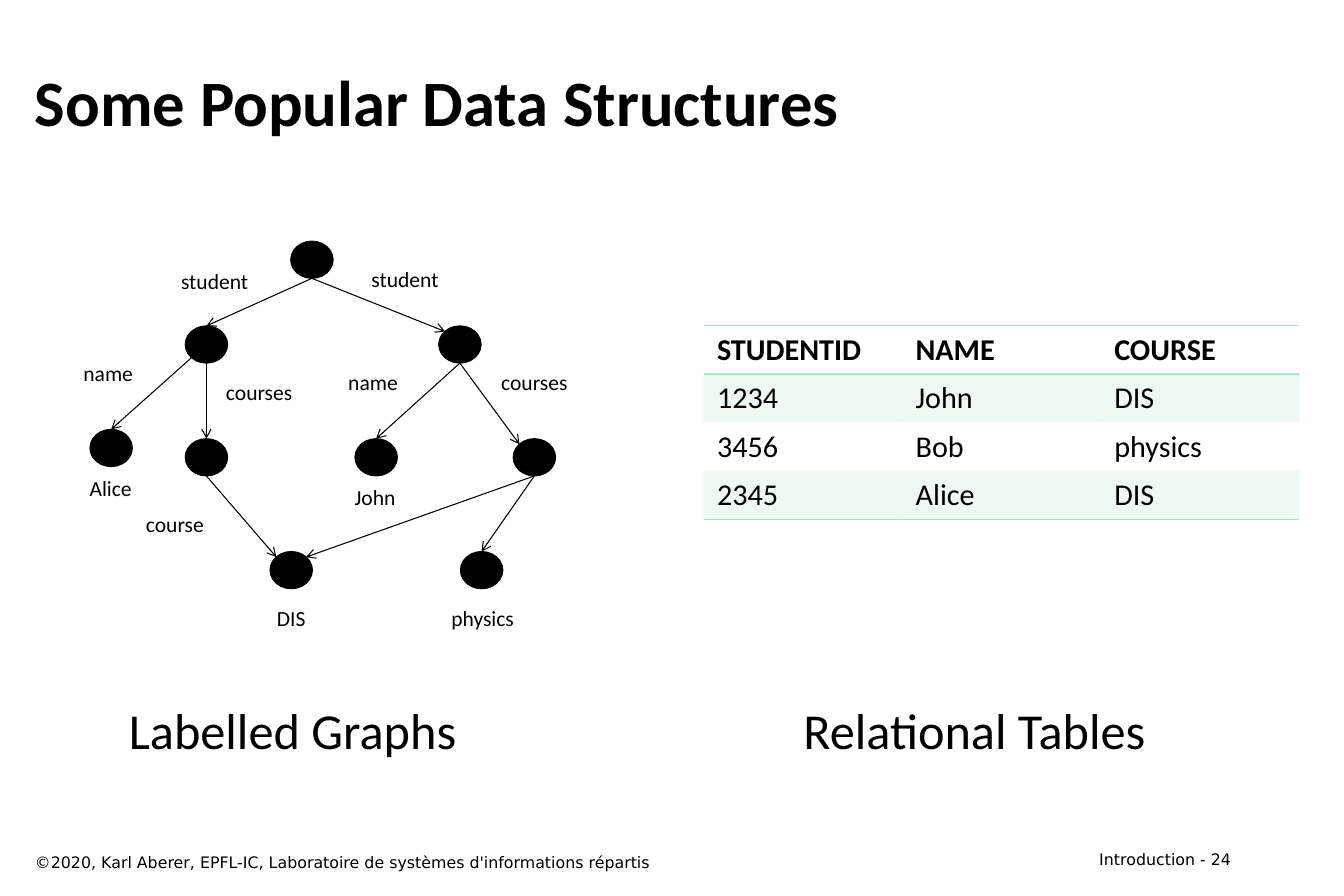
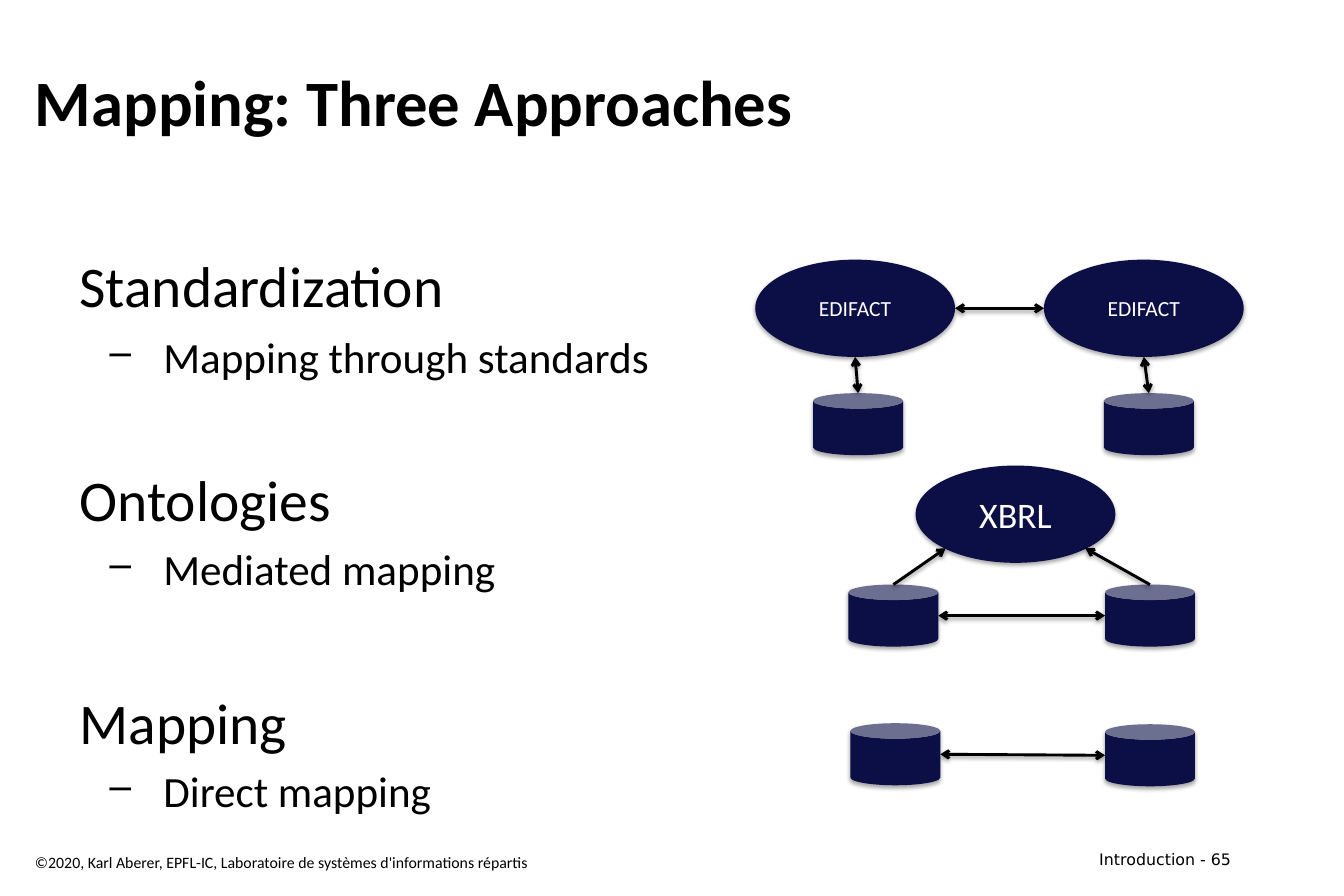
from pptx import Presentation
from pptx.dml.color import RGBColor
from pptx.enum.shapes import MSO_CONNECTOR, MSO_SHAPE
from pptx.enum.text import MSO_ANCHOR, PP_ALIGN
from pptx.oxml.ns import qn
from pptx.util import Pt
from lxml.etree import SubElement

BLACK = "000000"
WHITE = "FFFFFF"
NAVY = "0C0F46"
MINT = "AAE2CA"
BODY_FONT = "Calibri"
FOOTER_FONT = "DejaVu Sans"
COPYRIGHT = "©2020, Karl Aberer, EPFL-IC, Laboratoire de systèmes d'informations répartis"
NO_TABLE_STYLE = "{2D5ABB26-0587-4C30-8999-92F81FD0307C}"

TOP, BOTTOM, LEFT, RIGHT = (0.5, 0), (0.5, 1), (0, 0.5), (1, 0.5)
TOP_LEFT, TOP_RIGHT = (0.15, 0.15), (0.85, 0.15)
BOTTOM_LEFT, BOTTOM_RIGHT = (0.15, 0.85), (0.85, 0.85)


def color(value):
    return RGBColor.from_string(value)


def write(para, text, size=15, ink=BLACK, font=BODY_FONT, bold=False, align=PP_ALIGN.LEFT):
    para.alignment = align
    span = para.add_run()
    span.text = text
    span.font.size = Pt(size)
    span.font.name = font
    span.font.bold = bold
    span.font.color.rgb = color(ink)


def set_frame(frame, wrap=True, anchor=MSO_ANCHOR.TOP):
    frame.word_wrap = wrap
    frame.vertical_anchor = anchor
    frame.margin_left = frame.margin_right = Pt(8.6)
    frame.margin_top = frame.margin_bottom = Pt(4.3)


def add_box(page, left, top, width, height, wrap=True, anchor=MSO_ANCHOR.TOP):
    box = page.shapes.add_textbox(Pt(left), Pt(top), Pt(width), Pt(height))
    set_frame(box.text_frame, wrap, anchor)
    return box.text_frame


def add_label(page, text, left, top, width, height=27.4, size=15):
    frame = add_box(page, left, top, width, height, wrap=False)
    write(frame.paragraphs[0], text, size=size, align=PP_ALIGN.CENTER)


def add_page(deck, title, number, copyright_font):
    page = deck.slides.add_slide(deck.slide_layouts[6])
    counter = add_box(page, 670.3, 586.8, 195.1, 20.9)
    write(counter.paragraphs[0], f"Introduction - {number}", size=11,
          font=FOOTER_FONT, align=PP_ALIGN.RIGHT)
    heading = add_box(page, 15.8, 28.1, 849.6, 83.5, anchor=MSO_ANCHOR.MIDDLE)
    write(heading.paragraphs[0], title, size=45, bold=True)
    notice = add_box(page, 15.8, 589, 600.5, 20.9)
    write(notice.paragraphs[0], COPYRIGHT, size=11, font=copyright_font)
    return page


def add_shadow(effects, distance, opacity):
    shadow = SubElement(effects, qn("a:outerShdw"), blurRad=str(Pt(3.1)),
                        dist=str(Pt(distance)), dir="5400000", rotWithShape="0")
    shade = SubElement(shadow, qn("a:srgbClr"), val=BLACK)
    SubElement(shade, qn("a:alpha"), val=str(opacity * 1000))


def add_figure(page, preset, left, top, width, height, fill):
    figure = page.shapes.add_shape(preset, Pt(left), Pt(top), Pt(width), Pt(height))
    figure.shadow.inherit = False
    figure.fill.solid()
    figure.fill.fore_color.rgb = color(fill)
    return figure


def add_node(page, left, top):
    node = add_figure(page, MSO_SHAPE.OVAL, left, top, 29.5, 25.9, BLACK)
    node.line.color.rgb = color(BLACK)
    node.line.width = Pt(0.75)
    return node


def add_raised(page, preset, left, top, width, height):
    figure = add_figure(page, preset, left, top, width, height, NAVY)
    figure.line.fill.background()
    add_shadow(figure._element.spPr.find(qn("a:effectLst")), 1.8, 35)
    return figure


def add_standard(page, text, left, top, size):
    oval = add_raised(page, MSO_SHAPE.OVAL, left, top, 139, 67.7)
    set_frame(oval.text_frame, anchor=MSO_ANCHOR.MIDDLE)
    write(oval.text_frame.paragraphs[0], text, size=size, ink=WHITE, align=PP_ALIGN.CENTER)
    return oval


def add_database(page, left, top):
    return add_raised(page, MSO_SHAPE.CAN, left, top, 62.6, 43.2)


def point_on(shape, place):
    across, down = place
    return int(shape.left + across * shape.width), int(shape.top + down * shape.height)


def add_arrow(page, source, start, target, end, width=0.75, both=False, raised=False):
    arrow = page.shapes.add_connector(MSO_CONNECTOR.STRAIGHT,
                                      *point_on(source, start), *point_on(target, end))
    arrow.line.color.rgb = color(BLACK)
    arrow.line.width = Pt(width)
    outline = arrow.line._get_or_add_ln()
    for tag in ("a:headEnd", "a:tailEnd") if both else ("a:tailEnd",):
        SubElement(outline, qn(tag), type="arrow")
    effects = SubElement(arrow._element.spPr, qn("a:effectLst"))
    if raised:
        add_shadow(effects, 1.6, 38)


def add_border(cell, side):
    border = SubElement(cell._tc.get_or_add_tcPr(), qn(f"a:{side}"), w=str(Pt(1)))
    paint = SubElement(border, qn("a:solidFill"))
    SubElement(paint, qn("a:srgbClr"), val=MINT)


def add_cell(cell, text, row, last_row):
    cell.margin_left = cell.margin_right = Pt(9.4)
    cell.margin_top = cell.margin_bottom = Pt(4.3)
    write(cell.text_frame.paragraphs[0], text, size=21, bold=row == 0)
    if row == 0:
        add_border(cell, "lnT")
    if row in (0, last_row):
        add_border(cell, "lnB")
    if row % 2:
        cell.fill.solid()
        cell.fill.fore_color.rgb = color(MINT)
        shade = cell._tc.tcPr.find(qn("a:solidFill")).find(qn("a:srgbClr"))
        SubElement(shade, qn("a:alpha"), val="20000")
    else:
        cell.fill.background()


def add_grid(page, rows, left, top, column_width, row_height):
    holder = page.shapes.add_table(len(rows), len(rows[0]), Pt(left), Pt(top),
                                   Pt(column_width * len(rows[0])), Pt(row_height * len(rows)))
    table = holder.table
    table.first_row = table.horz_banding = False
    table._tbl.tblPr.find(qn("a:tableStyleId")).text = NO_TABLE_STYLE
    for column in table.columns:
        column.width = Pt(column_width)
    for index, texts in enumerate(rows):
        table.rows[index].height = Pt(row_height)
        for cell, text in zip(table.rows[index].cells, texts):
            add_cell(cell, text, index, len(rows) - 1)


def add_dash(para):
    properties = para._p.get_or_add_pPr()
    properties.set("marL", str(Pt(58.3)))
    properties.set("indent", str(Pt(-37.4)))
    SubElement(properties, qn("a:buSzPct"), val="90000")
    SubElement(properties, qn("a:buChar"), char="–")


def add_approaches(page, approaches):
    frame = add_box(page, 46.8, 169.9, 841.7, 411.8)
    for index, (name, gap, detail, detail_gap) in enumerate(approaches):
        heading = frame.add_paragraph() if index else frame.paragraphs[0]
        heading.space_before = Pt(gap)
        write(heading, name, size=40)
        item = frame.add_paragraph()
        item.level = 1
        add_dash(item)
        item.space_before = Pt(detail_gap)
        write(item, detail, size=30)


def build_structures(deck):
    page = add_page(deck, "Some Popular Data Structures", 24, FOOTER_FONT)
    second, third, fourth = (226.8 + 78.5 * step for step in range(3))
    root = add_node(page, 202.3, 167.8)
    left_student = add_node(page, 128.9, second)
    right_student = add_node(page, 305.3, second)
    alice = add_node(page, 62.6, 298.8)
    left_courses = add_node(page, 128.9, third)
    john = add_node(page, 247, third)
    right_courses = add_node(page, 357.1, third)
    dis = add_node(page, 187.9, fourth)
    physics = add_node(page, 320.4, fourth)
    for source, start, target, end in (
        (root, BOTTOM, left_student, TOP),
        (root, BOTTOM, right_student, TOP_LEFT),
        (left_student, (0.25, 0.75), alice, TOP),
        (left_student, BOTTOM, left_courses, TOP),
        (right_student, BOTTOM, john, TOP),
        (right_student, BOTTOM, right_courses, TOP_LEFT),
        (left_courses, BOTTOM, dis, TOP_LEFT),
        (right_courses, BOTTOM, dis, TOP_RIGHT),
        (right_courses, BOTTOM, physics, TOP),
    ):
        add_arrow(page, source, start, target, end)
    for text, left, top, width in (
        ("student", 116.6, 182.2, 65.5),
        ("student", 249.1, 180.7, 65.5),
        ("name", 49, 246.2, 52.6),
        ("courses", 147.6, 259.2, 65.5),
        ("name", 233.3, 252.7, 52.6),
        ("courses", 339.1, 252.7, 65.5),
        ("Alice", 53.3, 326.2, 47.5),
        ("John", 237.6, 332.6, 46.8),
        ("course", 92.2, 351.4, 59),
        ("DIS", 183.6, 416.9, 38.2),
        ("physics", 304.6, 416.9, 62.6),
    ):
        add_label(page, text, left, top, width)
    add_label(page, "Labelled Graphs", 79.2, 482.4, 249.1, 51.1, size=35)
    add_grid(page, (
        ("STUDENTID", "NAME", "COURSE"),
        ("1234", "John", "DIS"),
        ("3456", "Bob", "physics"),
        ("2345", "Alice", "DIS"),
    ), 489.6, 226.4, 138.24, 33.7)
    add_label(page, "Relational Tables", 547.2, 482.4, 262.1, 51.1, size=35)


def build_approaches(deck):
    page = add_page(deck, "Mapping: Three Approaches", 65, BODY_FONT)
    add_approaches(page, (
        ("Standardization", 0, "Mapping through standards", 8),
        ("Ontologies", 57, "Mediated mapping", 6),
        ("Mapping", 65, "Direct mapping", 6),
    ))
    left_standard = add_standard(page, "EDIFACT", 525.6, 180.7, 15)
    right_standard = add_standard(page, "EDIFACT", 726.5, 180.7, 15)
    ontology = add_standard(page, "XBRL", 637.2, 324, 25)
    databases = [
        (add_database(page, left, left_top), add_database(page, right, right_top))
        for left, left_top, right, right_top in (
            (565.9, 273.6, 768.2, 273.6),
            (590.4, 406.8, 769, 406.8),
            (591.8, 503.3, 769, 504),
        )
    ]
    standardized, mediated, direct = databases
    for source, start, target, end, both in (
        (left_standard, RIGHT, right_standard, LEFT, True),
        (mediated[0], RIGHT, mediated[1], LEFT, True),
        (direct[0], RIGHT, direct[1], LEFT, True),
        (left_standard, BOTTOM, standardized[0], TOP, True),
        (right_standard, BOTTOM, standardized[1], TOP, True),
        (mediated[0], TOP, ontology, BOTTOM_LEFT, False),
        (mediated[1], TOP, ontology, BOTTOM_RIGHT, False),
    ):
        add_arrow(page, source, start, target, end, width=2, both=both, raised=True)


def main():
    deck = Presentation()
    deck.slide_width = Pt(935.3)
    deck.slide_height = Pt(623.5)
    build_structures(deck)
    build_approaches(deck)
    deck.save("out.pptx")


if __name__ == "__main__":
    main()
